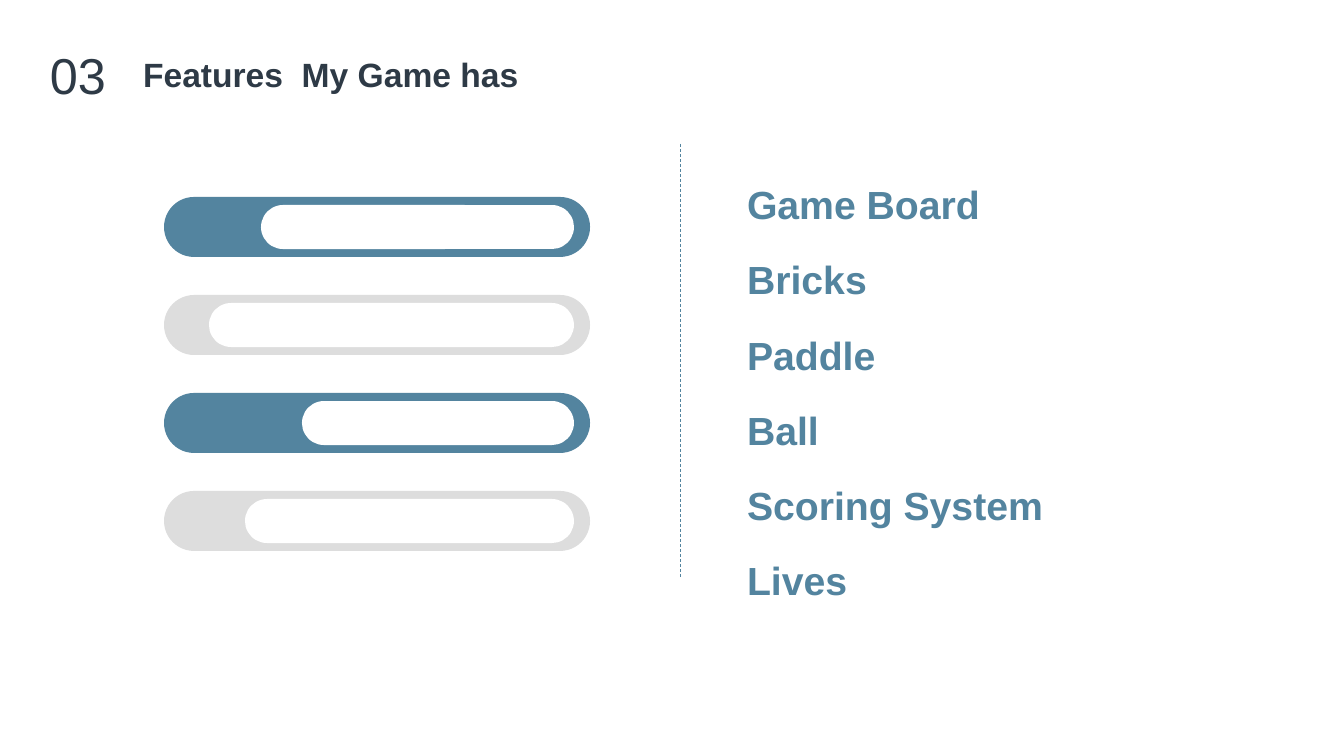
from lxml import etree
from pptx import Presentation
from pptx import util as u
from pptx.dml.color import RGBColor
from pptx.enum import dml, shapes, text
from pptx.oxml.ns import qn

BLUE = RGBColor(0x53, 0x84, 0x9F)
GREY = RGBColor(0xDD, 0xDD, 0xDD)
WHITE = RGBColor(0xFF, 0xFF, 0xFF)
INK = RGBColor(0x2E, 0x3A, 0x46)

EMU_PER_PX = 914400 / 100.8
FEATURES = ["Game Board", "Bricks", "Paddle", "Ball", "Scoring System", "Lives"]
BARS = [(BLUE, 261), (GREY, 209), (BLUE, 302), (GREY, 245)]  # colour, left of the open part
BAR_LEFT, BAR_TOP, BAR_WIDTH, BAR_HEIGHT, BAR_PITCH = 164, 197, 426, 60, 98
OPEN_RIGHT, OPEN_INSET = 574, 8


def px(length):
    return u.Emu(round(length * EMU_PER_PX))


def write(frame, lines, size, color, bold=False, line_spacing=1.0,
          anchor=text.MSO_ANCHOR.TOP):
    """Fill a text frame with one plain, unbulleted paragraph per line."""
    frame.word_wrap = True
    frame.auto_size = text.MSO_AUTO_SIZE.NONE
    frame.vertical_anchor = anchor
    frame.text = "\n".join(lines)
    for paragraph in frame.paragraphs:
        properties = paragraph._p.get_or_add_pPr()
        properties.set("marL", "0")
        properties.set("indent", "0")
        etree.SubElement(properties, qn("a:buNone"))
        paragraph.alignment = text.PP_ALIGN.LEFT
        paragraph.line_spacing = line_spacing
        paragraph.space_before = u.Pt(0)
        font = paragraph.runs[0].font
        font.name = "Arial"
        font.size = u.Pt(size)
        font.bold = bold
        font.color.rgb = color


class FeatureSlide:
    def __init__(self, deck):
        self.slide = deck.slides.add_slide(deck.slide_layouts[1])

    def placeholder(self, index, left, top, width, height, lines, **style):
        holder = self.slide.placeholders[index]
        holder.left, holder.top = px(left), px(top)
        holder.width, holder.height = px(width), px(height)
        write(holder.text_frame, lines, **style)

    def label(self, left, top, width, height, lines, **style):
        box = self.slide.shapes.add_textbox(px(left), px(top), px(width), px(height))
        write(box.text_frame, lines, **style)

    def pill(self, left, top, width, height, color):
        pill = self.slide.shapes.add_shape(
            shapes.MSO_SHAPE.ROUNDED_RECTANGLE, px(left), px(top), px(width), px(height))
        pill.adjustments[0] = 0.5
        pill.shadow.inherit = False
        pill.fill.solid()
        pill.fill.fore_color.rgb = color
        pill.line.fill.background()

    def dashed_line(self, x1, y1, x2, y2, color):
        divider = self.slide.shapes.add_connector(
            shapes.MSO_CONNECTOR.STRAIGHT, px(x1), px(y1), px(x2), px(y2))
        divider.line.color.rgb = color
        divider.line.width = u.Pt(0.5)
        divider.line.dash_style = dml.MSO_LINE.DASH
        etree.SubElement(divider._element.spPr, qn("a:effectLst"))


def main():
    deck = Presentation()
    deck.slide_width, deck.slide_height = px(1344), px(756)
    page = FeatureSlide(deck)

    page.label(40, 39, 124, 72, ["03"], size=36, color=INK)
    page.placeholder(0, 133, 49, 717, 50, ["Features  My Game has"],
                     size=24, color=INK, bold=True)
    page.placeholder(1, 737, 147, 374, 466, FEATURES,
                     size=28, color=BLUE, bold=True, line_spacing=1.6)
    page.dashed_line(680, 144, 680, 577, BLUE)

    for row, (color, open_left) in enumerate(BARS):
        top = BAR_TOP + row * BAR_PITCH
        page.pill(BAR_LEFT, top, BAR_WIDTH, BAR_HEIGHT, color)
        page.pill(open_left, top + OPEN_INSET, OPEN_RIGHT - open_left,
                  BAR_HEIGHT - 2 * OPEN_INSET, WHITE)

    deck.save("out.pptx")


if __name__ == "__main__":
    main()
